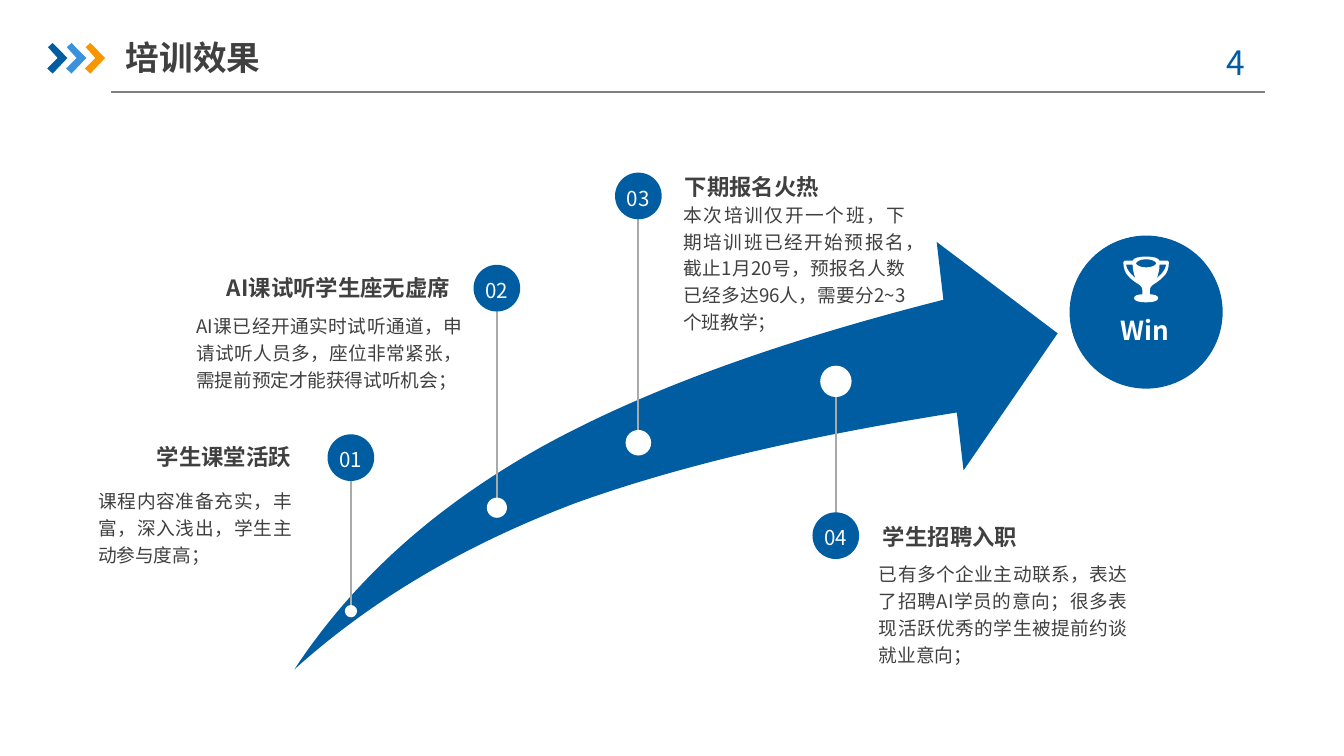
from dataclasses import dataclass

from lxml.etree import SubElement
from pptx import Presentation
from pptx.dml.color import RGBColor
from pptx.enum.shapes import MSO_CONNECTOR, MSO_SHAPE
from pptx.enum.text import MSO_ANCHOR, PP_ALIGN
from pptx.oxml.ns import qn
from pptx.util import Pt

FONT = "Noto Sans CJK SC"
COLORS = {
    "blue": "005DA2", "sky": "3992DB", "orange": "F79600", "text": "404040",
    "rule": "808080", "stem": "A6AAA9", "number": "FCFCFC", "white": "FFFFFF",
}
BADGE_SIZE = 25

Point = tuple[float, float]
Box = tuple[float, float, float, float]


@dataclass
class Milestone:
    number: str
    x: float
    badge_y: float
    dot_y: float
    dot_size: float
    title: str
    title_box: Box
    title_align: PP_ALIGN
    body: str
    body_box: Box


@dataclass
class Contour:
    """Points in order; each segment takes 1 point (line) or 3 (curve)."""
    points: list[Point]
    segments: list[int]


MILESTONES = [
    Milestone("01", 188, 245.2, 327.4, 6.6, "学生课堂活跃",
              (47.2, 233.2, 108.7, 24.5), PP_ALIGN.RIGHT,
              "课程内容准备充实，丰富，深入浅出，学生主动参与度高；",
              (52.6, 259.9, 103.7, 36.7)),
    Milestone("02", 266.2, 154.4, 272, 10.8, "AI课试听学生座无虚席",
              (108, 142.6, 133.2, 24.5), PP_ALIGN.RIGHT,
              "AI课已经开通实时试听通道，申请试听人员多，座位非常紧张，需提前预定才能获得试听机会；",
              (105.1, 166.3, 142.6, 36.7)),
    Milestone("03", 342, 105, 237.2, 13.7, "下期报名火热",
              (366.8, 88.6, 109.4, 24.5), PP_ALIGN.LEFT,
              "本次培训仅开一个班，下期培训班已经开始预报名，截止1月20号，预报名人数已经多达96人，需要分2~3个班教学；",
              (366.1, 106.6, 119, 36.7)),
    Milestone("04", 447.8, 287, 204.3, 16.8, "学生招聘入职",
              (473, 276.1, 109.4, 24.5), PP_ALIGN.LEFT,
              "已有多个企业主动联系，表达了招聘AI学员的意向；很多表现活跃优秀的学生被提前约谈就业意向；",
              (470.8, 299.2, 133.2, 36.7)),
]

presentation = Presentation()
presentation.slide_width, presentation.slide_height = Pt(720), Pt(405)
slide = presentation.slides.add_slide(presentation.slide_layouts[6])


def rgb(color: str) -> RGBColor:
    return RGBColor.from_string(COLORS[color])


def paint(shape, color: str) -> None:
    shape.fill.solid()
    shape.fill.fore_color.rgb = rgb(color)
    shape.line.fill.background()
    shape.shadow.inherit = False


def write(shape, text: str, size: float, color: str, align=PP_ALIGN.LEFT, bold=False,
          spacing=1.0, before=0.0, anchor=MSO_ANCHOR.MIDDLE, wrap=True, inset_top=0.0) -> None:
    frame = shape.text_frame
    frame.word_wrap = wrap
    frame.vertical_anchor = anchor
    frame.margin_left = frame.margin_right = frame.margin_bottom = 0
    frame.margin_top = Pt(inset_top)
    paragraph = frame.paragraphs[0]
    paragraph.text = text
    paragraph.alignment = align
    paragraph.line_spacing = spacing
    paragraph.space_before = Pt(before)
    font = paragraph.font
    font.size, font.bold, font.name = Pt(size), bold, FONT
    font.color.rgb = rgb(color)
    # East Asian text needs its own typeface entry
    properties = paragraph._p.pPr.find(qn("a:defRPr"))
    SubElement(properties, qn("a:ea")).set("typeface", FONT)


def add_text(box: Box, text: str, size: float, color: str, **style) -> None:
    write(slide.shapes.add_textbox(*map(Pt, box)), text, size, color, **style)


def add_circle(x: float, y: float, size: float, color: str):
    circle = slide.shapes.add_shape(
        MSO_SHAPE.OVAL, Pt(x - size / 2), Pt(y - size / 2), Pt(size), Pt(size))
    paint(circle, color)
    return circle


def add_line(start: Point, end: Point, color: str, width: float) -> None:
    line = slide.shapes.add_connector(MSO_CONNECTOR.STRAIGHT, *map(Pt, start + end))
    line.line.color.rgb = rgb(color)
    line.line.width = Pt(width)
    SubElement(line._element.spPr, qn("a:effectLst"))


def trace(start: Point, *segments: tuple) -> Contour:
    """Read lines (2 numbers) and cubic curves (6 numbers)."""
    points = [start]
    for segment in segments:
        points += zip(segment[::2], segment[1::2])
    return Contour(points, [len(segment) // 2 for segment in segments])


def mirror(contour: Contour) -> Contour:
    return Contour([(-x, y) for x, y in reversed(contour.points)], contour.segments[::-1])


def whole(half: Contour) -> Contour:
    other = mirror(half)
    return Contour(half.points + other.points[1:], half.segments + other.segments)


def add_outline(contours: list[Contour], color: str, left=0.0, top=0.0) -> None:
    placed = [[(Pt(left + x), Pt(top + y)) for x, y in contour.points] for contour in contours]
    builder = slide.shapes.build_freeform(*placed[0][0], scale=1.0)
    for index, points in enumerate(placed):
        if index:
            builder.move_to(*points[0])
        builder.add_line_segments(points[1:], close=True)
    shape = builder.convert_to_shape()
    paint(shape, color)
    # Join each curve's three points into one cubic segment
    lines = iter(list(shape._element.iter(qn("a:lnTo"))))
    for contour in contours:
        for count in contour.segments:
            first, *others = [next(lines) for _ in range(count)]
            if others:
                first.tag = qn("a:cubicBezTo")
            for other in others:
                first.append(other[0])
                other.getparent().remove(other)


# Header
add_line((59.6, 49.3), (677.5, 49.3), "rule", 0.75)
chevron = trace((0.4, 2.3), (2.9, 0), (10.8, 8.1), (2.9, 16.4), (0, 13.7), (5.6, 8.1))
for index, color in enumerate(("blue", "sky", "orange")):
    add_outline([chevron], color, left=25.3 + index * 10.1, top=23)
add_text((67.5, 15.5, 167.8, 30.2), "培训效果", 18, "text", bold=True)
add_text((635.6, 18.7, 52.6, 28.8), "4", 18, "blue", align=PP_ALIGN.CENTER)

# Rising arrow
add_outline([trace(
    (157.7, 358.6),
    (190, 309.6, 234, 270.7, 290.9, 239),
    (348.5, 207.4, 420.5, 182.2, 505.4, 160.6),
    (501.8, 129.6), (566.6, 178.6), (516.2, 252), (512.6, 221),
    (434.9, 233.3, 367.2, 248.4, 308.9, 269.3),
    (249.8, 291.6, 200.2, 320.4, 157.7, 358.6),
)], "blue")

# Milestones
for item in MILESTONES:
    add_line((item.x, item.dot_y), (item.x, item.badge_y), "stem", 1)
    badge = add_circle(item.x, item.badge_y, BADGE_SIZE, "blue")
    write(badge, item.number, 11, "number", align=PP_ALIGN.CENTER,
          spacing=Pt(14), before=10, wrap=False, inset_top=1.4)
    add_circle(item.x, item.dot_y, item.dot_size, "white")
    add_text(item.title_box, item.title, 12, "text", align=item.title_align,
             bold=True, spacing=0.9, before=10)
    add_text(item.body_box, item.body, 10, "text", align=PP_ALIGN.JUSTIFY,
             spacing=1.2, before=10, anchor=MSO_ANCHOR.TOP)

# Goal with trophy, drawn as left halves around its axis
add_circle(614, 167.2, 82, "blue")
cup = trace(
    (0, 0), (-4.3, 0, -6.5, 0.7, -7.2, 2.2), (-11.5, 2.2),
    (-12.2, 2.2, -12.2, 2.9, -12.2, 2.9),
    (-12.2, 9.4, -8.6, 11.5, -5.8, 13.7),
    (-3.6, 15.1, -2, 15.8, -2, 18), (-2, 20.2),
    (-4.3, 20.2, -6.5, 20.9, -6.5, 22.3),
    (-6.5, 23.8, -3.6, 24.5, 0, 24.5))
rim = trace((0, 1.4), (-3.6, 1.4, -5.4, 2.9, -5.4, 3.6), (-5.4, 4.3, -3.6, 5.8, 0, 5.8))
handle = trace((-10.8, 4.3), (-7.2, 4.3), (-7.2, 7.2, -6.5, 9.4, -5.8, 11.5),
               (-7.9, 9.4, -10.1, 7.9, -10.8, 4.3))
add_outline([whole(cup), whole(rim), handle, mirror(handle)],
            "white", left=614, top=137.5)
add_text((583.2, 165.6, 60.5, 24.5), "Win", 14, "white", align=PP_ALIGN.CENTER,
         bold=True, spacing=0.9, before=10)

presentation.save("out.pptx")
